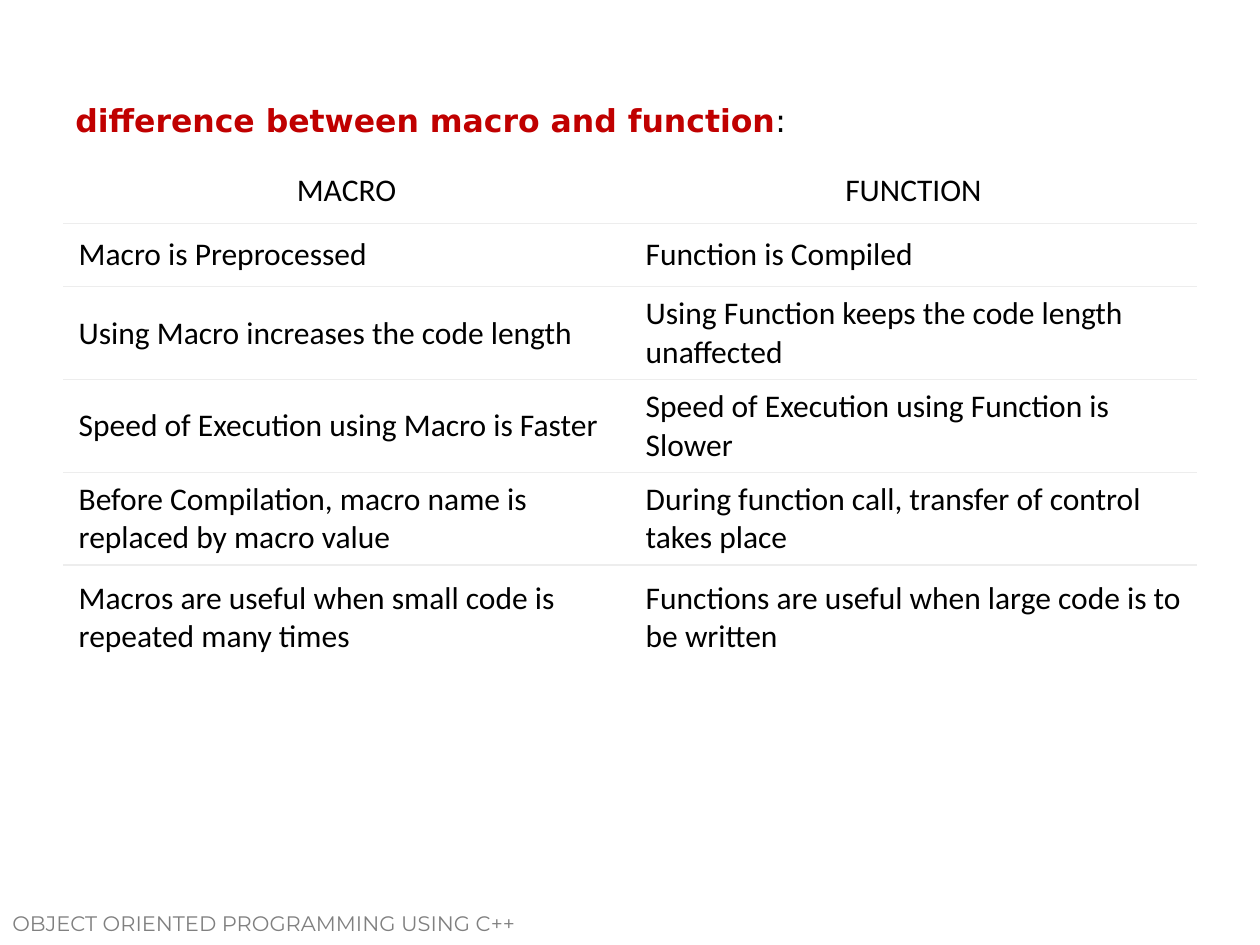
from lxml import etree
from pptx import Presentation
from pptx.dml.color import RGBColor
from pptx.enum import text
from pptx.oxml import ns
from pptx.util import Pt

# Content
TITLE = [("difference between macro and function", "title", True), (":", "body", False)]
FOOTER = "OBJECT ORIENTED PROGRAMMING USING C++"
ROWS = [
    ("MACRO", "FUNCTION"),
    ("Macro is Preprocessed", "Function is Compiled"),
    ("Using Macro increases the code length",
     "Using Function keeps the code length unaffected"),
    ("Speed of Execution using Macro is Faster",
     "Speed of Execution using Function is Slower"),
    ("Before Compilation, macro name is replaced by macro value",
     "During function call, transfer of control takes place"),
    ("Macros are useful when small code is repeated many times",
     "Functions are useful when large code is to be written"),
]

# Design
COLORS = {"title": "C00000", "body": "000000", "footer": "808080", "rule": "EDEDED"}
ROW_HEIGHTS = [37.5, 36.5, 53, 53, 53, 60]
HEADER_MARGINS = (5, 5)
BODY_MARGINS = (9, 4.5)
PLAIN_STYLE = "{2D5ABB26-0587-4C30-8999-92F81FD0307C}"


def set_font(font, name, size, color, bold=False):
    font.name, font.size, font.bold = name, Pt(size), bold
    font.color.rgb = RGBColor.from_string(COLORS[color])


def add_text_box(slide, left, top, width, height, wrap):
    box = slide.shapes.add_textbox(Pt(left), Pt(top), Pt(width), Pt(height))
    box.text_frame.word_wrap = wrap
    return box.text_frame


def add_rule(cell, side):
    line = etree.SubElement(cell._tc.get_or_add_tcPr(), ns.qn(f"a:{side}"), w=str(Pt(0.75)))
    fill = etree.SubElement(line, ns.qn("a:solidFill"))
    etree.SubElement(fill, ns.qn("a:srgbClr"), val=COLORS["rule"])


def fill_cell(cell, wording, row):
    # Rules lie only between rows
    if row > 0:
        add_rule(cell, "lnT")
    if row < len(ROWS) - 1:
        add_rule(cell, "lnB")
    cell.fill.background()

    side, end = BODY_MARGINS if row else HEADER_MARGINS
    cell.margin_left = cell.margin_right = Pt(side)
    cell.margin_top = cell.margin_bottom = Pt(end)
    cell.vertical_anchor = text.MSO_ANCHOR.MIDDLE
    cell.text = wording
    paragraph = cell.text_frame.paragraphs[0]
    paragraph.alignment = text.PP_ALIGN.LEFT if row else text.PP_ALIGN.CENTER
    set_font(paragraph.font, "Calibri", 18, "body")


def main():
    presentation = Presentation()
    presentation.slide_width, presentation.slide_height = Pt(720), Pt(540)
    slide = presentation.slides.add_slide(presentation.slide_layouts[6])

    # Footer
    frame = add_text_box(slide, 0, 516.5, 360, 30, True)
    frame.text = FOOTER
    set_font(frame.paragraphs[0].font, "Montserrat", 12, "footer")

    # Comparison table
    table = slide.shapes.add_table(len(ROWS), 2, Pt(36), Pt(90), Pt(648),
                                   Pt(sum(ROW_HEIGHTS))).table
    table.first_row = table.horz_banding = False
    table._tbl.tblPr.find(ns.qn("a:tableStyleId")).text = PLAIN_STYLE
    for row, (wordings, height) in enumerate(zip(ROWS, ROW_HEIGHTS)):
        table.rows[row].height = Pt(height)
        for column, wording in enumerate(wordings):
            fill_cell(table.cell(row, column), wording, row)

    # Title
    frame = add_text_box(slide, 36, 54, 425, 29, False)
    frame.auto_size = text.MSO_AUTO_SIZE.SHAPE_TO_FIT_TEXT
    for wording, color, bold in TITLE:
        run = frame.paragraphs[0].add_run()
        run.text = wording
        set_font(run.font, "DejaVu Sans", 18, color, bold)

    presentation.save("out.pptx")


if __name__ == "__main__":
    main()
